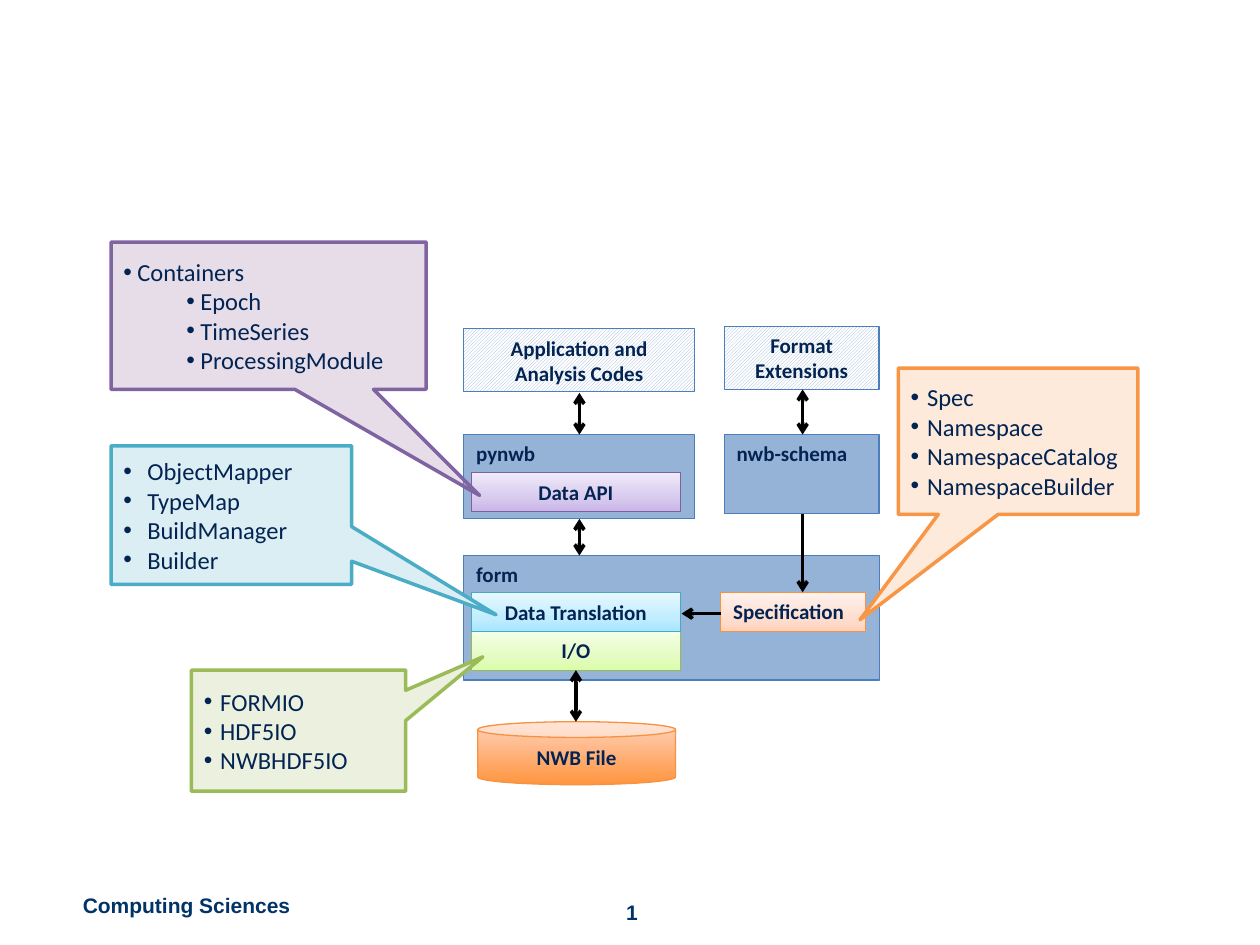
from copy import deepcopy

from lxml import etree
from pptx import Presentation
from pptx.dml.color import RGBColor
from pptx.enum.dml import MSO_PATTERN
from pptx.enum.shapes import MSO_CONNECTOR, MSO_SHAPE
from pptx.enum.text import MSO_ANCHOR, PP_ALIGN
from pptx.oxml.ns import qn
from pptx.util import Cm, Pt

RECTANGLE, CAN, CALLOUT = MSO_SHAPE.RECTANGLE, MSO_SHAPE.CAN, MSO_SHAPE.RECTANGULAR_CALLOUT
STRAIGHT = MSO_CONNECTOR.STRAIGHT
HATCH = MSO_PATTERN.LIGHT_UPWARD_DIAGONAL
LEFT, CENTER = PP_ALIGN.LEFT, PP_ALIGN.CENTER
TOP, MIDDLE, BOTTOM = MSO_ANCHOR.TOP, MSO_ANCHOR.MIDDLE, MSO_ANCHOR.BOTTOM

NAVY = RGBColor(0x03, 0x24, 0x53)
FOOTER_BLUE = RGBColor(0x00, 0x33, 0x66)
BLACK = RGBColor(0x00, 0x00, 0x00)
WHITE = RGBColor(0xFF, 0xFF, 0xFF)
BLUE = RGBColor(0x95, 0xB3, 0xD7)
BLUE_LINE = RGBColor(0x4B, 0x7E, 0xBC)
ORANGE_LINE = RGBColor(0xF6, 0x92, 0x40)
GREEN_LINE = RGBColor(0x98, 0xB9, 0x55)
PURPLE_LINE = RGBColor(0x7D, 0x60, 0xA0)
TEAL_LINE = RGBColor(0x46, 0xAA, 0xC5)
PEACH_DARK = RGBColor(0xFF, 0xD2, 0xBD)
ORANGE_STOPS = [(0, RGBColor(0xFF, 0x95, 0x3E)), (1, PEACH_DARK)]
PEACH_STOPS = [(0, PEACH_DARK), (0.35, RGBColor(0xFF, 0xDE, 0xD0)), (1, RGBColor(0xFF, 0xF2, 0xED))]
GREEN_STOPS = [(0, RGBColor(0xDA, 0xFD, 0xA7)), (0.35, RGBColor(0xE4, 0xFC, 0xC2)),
               (1, RGBColor(0xF5, 0xFF, 0xE7))]
PURPLE_STOPS = [(0, RGBColor(0xC9, 0xB5, 0xE8)), (0.35, RGBColor(0xD8, 0xCB, 0xEE)),
                (1, RGBColor(0xF0, 0xEA, 0xF9))]
TEAL_STOPS = [(0, RGBColor(0xA7, 0xE6, 0xFF)), (0.35, RGBColor(0xC1, 0xED, 0xFF)),
              (1, RGBColor(0xE7, 0xF8, 0xFF))]
CALLOUT_TEAL = RGBColor(0xDB, 0xEE, 0xF4)
CALLOUT_TEAL_LINE = RGBColor(0x4B, 0xAC, 0xC6)
CALLOUT_GREEN = RGBColor(0xEB, 0xF1, 0xDE)
CALLOUT_GREEN_LINE = RGBColor(0x9B, 0xBB, 0x59)
CALLOUT_ORANGE = RGBColor(0xFD, 0xEA, 0xDA)
CALLOUT_ORANGE_LINE = RGBColor(0xF7, 0x96, 0x46)
CALLOUT_PURPLE = RGBColor(0xAA, 0x8A, 0xB4)
CALLOUT_PURPLE_LINE = RGBColor(0x80, 0x64, 0xA2)

LEFT_COLUMN, RIGHT_COLUMN, LAYER_LEFT = 9.35, 14.6, 9.5
LEFT_WIDTH, RIGHT_WIDTH, LAYER_WIDTH, LAYER_HEIGHT = 4.65, 3.12, 4.22, 0.79
MODULE_TOP, FORM_TOP, TRANSLATION_TOP, FILE_TOP = 8.76, 11.2, 11.94, 14.55
LEFT_AXIS, FILE_AXIS, RIGHT_AXIS = 11.68, 11.61, 16.18


def add_text(paragraph, text, size, color, font="Calibri", bold=False):
    run = paragraph.add_run()
    run.text = text
    run.font.name = font
    run.font.size = Pt(size)
    run.font.bold = bold
    run.font.color.rgb = color


def add_outlined_shape(slide, kind, box, line_color, line_width, anchor):
    shape = slide.shapes.add_shape(kind, *map(Cm, box))
    shape.shadow.inherit = False
    shape.line.color.rgb = line_color
    shape.line.width = Pt(line_width)
    shape.text_frame.word_wrap = True
    shape.text_frame.vertical_anchor = anchor
    return shape


def fill_solid(shape, color):
    shape.fill.solid()
    shape.fill.fore_color.rgb = color


def fill_hatched(shape):
    shape.fill.patterned()
    shape.fill.pattern = HATCH
    shape.fill.fore_color.rgb = BLUE
    shape.fill.back_color.rgb = WHITE


def fill_gradient(shape, stops):
    shape.fill.gradient()
    shape.fill.gradient_angle = 90
    stop_list = next(shape.element.iter(qn("a:gsLst")))
    while len(stop_list) < len(stops):
        stop_list.append(deepcopy(stop_list[0]))
    for stop, (position, color) in zip(shape.fill.gradient_stops, stops):
        stop.position = position
        stop.color.rgb = color


def add_block(slide, text, box, line_color=BLUE_LINE, stops=None, hatched=False,
              align=LEFT, anchor=TOP, kind=RECTANGLE):
    shape = add_outlined_shape(slide, kind, box, line_color, 0.75, anchor)
    if stops:
        fill_gradient(shape, stops)
    elif hatched:
        fill_hatched(shape)
    else:
        fill_solid(shape, BLUE)
    paragraph = shape.text_frame.paragraphs[0]
    paragraph.alignment = align
    add_text(paragraph, text, 12, NAVY, bold=True)


def add_layer(slide, text, top, line_color, stops, anchor=MIDDLE):
    box = (LAYER_LEFT, top, LAYER_WIDTH, LAYER_HEIGHT)
    add_block(slide, text, box, line_color, stops, align=CENTER, anchor=anchor)


def add_bullet(paragraph, level, hanging):
    paragraph.level = level
    paragraph.alignment = LEFT
    properties = paragraph._p.get_or_add_pPr()
    properties.set("marL", str(Cm(hanging + 1.27 * level)))
    properties.set("indent", str(-Cm(hanging)))
    etree.SubElement(properties, qn("a:buFont"), typeface="Arial")
    etree.SubElement(properties, qn("a:buChar"), char="•")


def add_callout(slide, items, box, pointer, color, line_color, hanging, opacity=None):
    shape = add_outlined_shape(slide, CALLOUT, box, line_color, 2, MIDDLE)
    shape.adjustments[0], shape.adjustments[1] = pointer
    fill_solid(shape, color)
    if opacity:
        fill_color = shape.element.spPr.find(qn("a:solidFill"))[0]
        etree.SubElement(fill_color, qn("a:alpha"), val=str(opacity * 1000))
    frame = shape.text_frame
    for index, (level, text) in enumerate(items):
        paragraph = frame.add_paragraph() if index else frame.paragraphs[0]
        add_bullet(paragraph, level, hanging)
        add_text(paragraph, text, 14, NAVY)


def add_arrow(slide, start, end, double=False):
    connector = slide.shapes.add_connector(STRAIGHT, *map(Cm, start + end))
    connector.line.color.rgb = BLACK
    connector.line.width = Pt(2)
    line = connector.line._get_or_add_ln()
    for tag in ("a:headEnd", "a:tailEnd") if double else ("a:tailEnd",):
        etree.SubElement(line, qn(tag), type="arrow")
    etree.SubElement(connector.element.spPr, qn("a:effectLst"))


def add_footer(slide, text, box, align, anchor, wrap):
    frame = slide.shapes.add_textbox(*map(Cm, box)).text_frame
    frame.word_wrap = wrap
    frame.vertical_anchor = anchor
    frame.paragraphs[0].alignment = align
    add_text(frame.paragraphs[0], text, 12, FOOTER_BLUE, "Arial", True)


def top_level(*names):
    return [(0, name) for name in names]


def add_architecture(slide):
    add_block(slide, "form", (LEFT_COLUMN, FORM_TOP, 8.38, 2.51))
    add_block(slide, "pynwb", (LEFT_COLUMN, MODULE_TOP, LEFT_WIDTH, 1.7))
    add_block(slide, "Specification", (14.53, TRANSLATION_TOP, 2.92, LAYER_HEIGHT),
              ORANGE_LINE, PEACH_STOPS)
    add_layer(slide, "I/O", TRANSLATION_TOP + LAYER_HEIGHT, GREEN_LINE, GREEN_STOPS, TOP)
    add_layer(slide, "Data API", 9.52, PURPLE_LINE, PURPLE_STOPS)
    add_layer(slide, "Data Translation", TRANSLATION_TOP, TEAL_LINE, TEAL_STOPS)
    add_block(slide, "NWB File", (9.63, FILE_TOP, 3.99, 1.27), ORANGE_LINE, ORANGE_STOPS,
              align=CENTER, anchor=MIDDLE, kind=CAN)
    add_block(slide, "nwb-schema", (RIGHT_COLUMN, MODULE_TOP, RIGHT_WIDTH, 1.6))
    add_block(slide, "Application and Analysis Codes", (LEFT_COLUMN, 6.63, LEFT_WIDTH, 1.27),
              hatched=True, align=CENTER)
    add_block(slide, "Format Extensions", (RIGHT_COLUMN, 6.58, RIGHT_WIDTH, 1.27),
              hatched=True, align=CENTER)


def add_flow(slide):
    add_arrow(slide, (RIGHT_AXIS, 10.36), (RIGHT_AXIS, TRANSLATION_TOP))
    add_arrow(slide, (14.53, 12.37), (13.74, 12.37))
    for axis, bottom, top in ((LEFT_AXIS, MODULE_TOP, 7.92), (FILE_AXIS, FILE_TOP, 13.51),
                              (LEFT_AXIS, FORM_TOP, 10.46), (RIGHT_AXIS, MODULE_TOP, 7.85)):
        add_arrow(slide, (axis, bottom), (axis, top), double=True)


def add_callouts(slide):
    add_callout(slide, top_level("ObjectMapper", "TypeMap", "BuildManager", "Builder"),
                (2.24, 8.99, 4.85, 2.79), (1.1, 0.72), CALLOUT_TEAL, CALLOUT_TEAL_LINE, 0.48)
    add_callout(slide, top_level("FORMIO", "HDF5IO", "NWBHDF5IO"),
                (3.86, 13.51, 4.32, 2.44), (0.86, -0.61), CALLOUT_GREEN, CALLOUT_GREEN_LINE, 0.33)
    add_callout(slide, top_level("Spec", "Namespace", "NamespaceCatalog", "NamespaceBuilder"),
                (18.11, 7.42, 4.83, 2.95), (-0.66, 1.22), CALLOUT_ORANGE, CALLOUT_ORANGE_LINE, 0.33)
    containers = [(0, "Containers"), (1, "Epoch"), (1, "TimeSeries"), (1, "ProcessingModule")]
    add_callout(slide, containers, (2.24, 4.88, 6.35, 2.97), (0.67, 1.22),
                CALLOUT_PURPLE, CALLOUT_PURPLE_LINE, 0.28, opacity=29)


def main():
    presentation = Presentation()
    presentation.slide_width, presentation.slide_height = Cm(25.4), Cm(19.05)
    slide = presentation.slides.add_slide(presentation.slide_layouts[6])
    add_footer(slide, "Computing Sciences", (1.42, 17.86, 4.75, 0.76), LEFT, TOP, False)
    add_footer(slide, "1", (9.78, 17.75, 5.92, 1.02), CENTER, BOTTOM, True)
    add_architecture(slide)
    add_flow(slide)
    add_callouts(slide)
    presentation.save("out.pptx")


if __name__ == "__main__":
    main()
